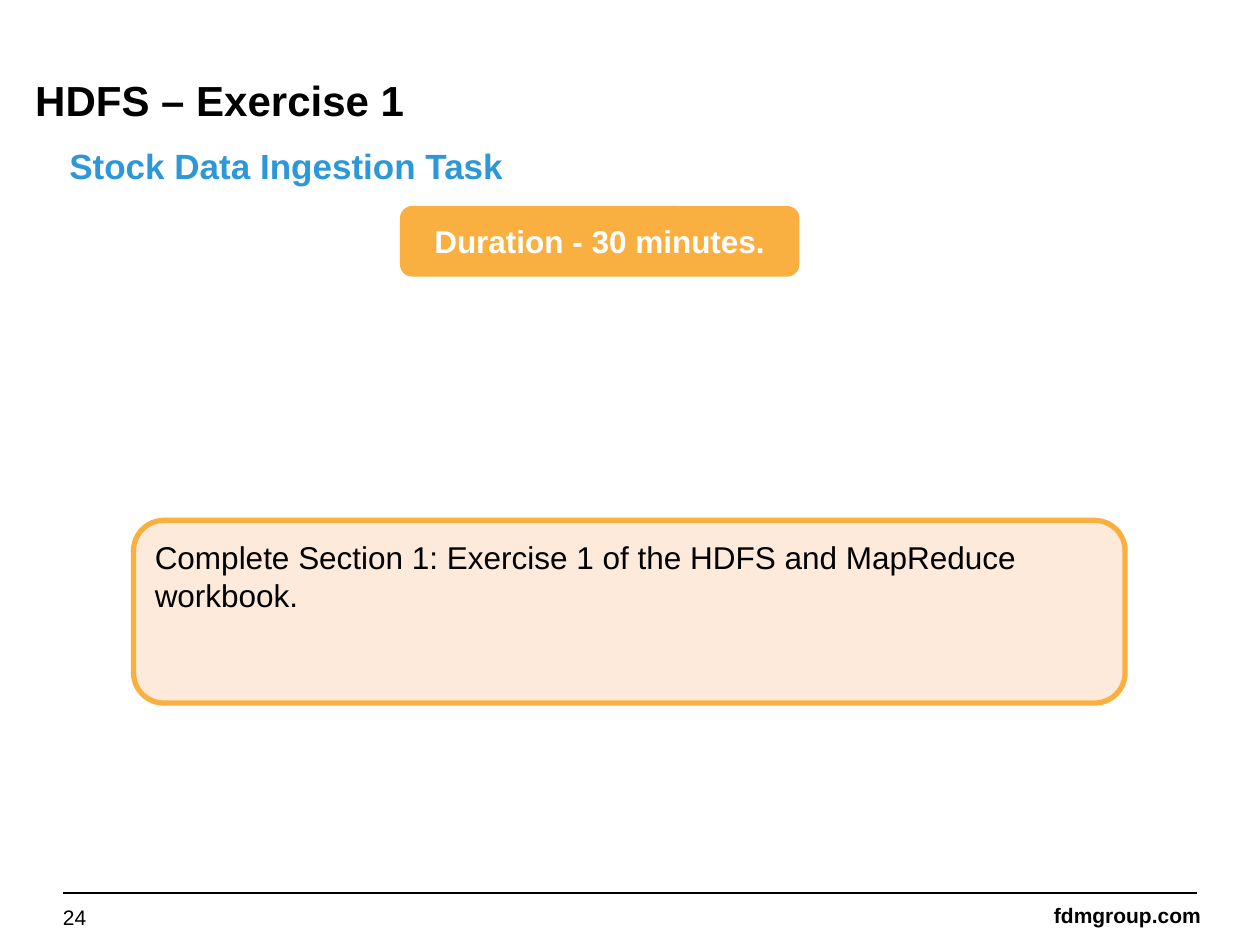
from pptx import Presentation
from pptx.dml.color import RGBColor
from pptx.enum.shapes import MSO_CONNECTOR, MSO_SHAPE
from pptx.enum.text import MSO_ANCHOR, PP_ALIGN
from pptx.oxml.ns import qn
from pptx.util import Inches, Pt
from lxml import etree

LEFT, CENTER, RIGHT = PP_ALIGN.LEFT, PP_ALIGN.CENTER, PP_ALIGN.RIGHT
TOP, MIDDLE = MSO_ANCHOR.TOP, MSO_ANCHOR.MIDDLE
ROUNDED = MSO_SHAPE.ROUNDED_RECTANGLE
STRAIGHT = MSO_CONNECTOR.STRAIGHT

BLACK, WHITE = "000000", "FFFFFF"
BLUE, ORANGE, PEACH = "2D98D9", "FAB041", "FDEADA"

presentation = Presentation()
presentation.slide_width = Inches(10)
presentation.slide_height = Inches(7.5)
slide = presentation.slides.add_slide(presentation.slide_layouts[6])
COLUMN = presentation.slide_width / 100
ROW = presentation.slide_height / 75


def color(value):
    return RGBColor.from_string(value)


def write(shape, text, size, text_color, bold, align, anchor, insets, wrap=True):
    frame = shape.text_frame
    frame.word_wrap = wrap
    frame.vertical_anchor = anchor
    frame.margin_left = frame.margin_right = Inches(insets[0])
    frame.margin_top = frame.margin_bottom = Inches(insets[1])
    paragraph = frame.paragraphs[0]
    paragraph.alignment = align
    run = paragraph.add_run()
    run.text = text
    run.font.name = "Arial"
    run.font.size = Pt(size)
    run.font.bold = bold
    run.font.color.rgb = color(text_color)


footer_rule = slide.shapes.add_connector(
    STRAIGHT, int(5 * COLUMN), int(70.9 * ROW), int(95 * COLUMN), int(70.9 * ROW))
footer_rule.line.color.rgb = color(BLACK)
footer_rule.line.width = Pt(1)
etree.SubElement(footer_rule._element.spPr, qn("a:effectLst"))

labels = [
    ("fdmgroup.com", (82.5, 71.1, 13.8, 3), 12, BLACK, True, RIGHT, MIDDLE, (0.1, 0.05), False),
    ("Stock Data Ingestion Task", (4.7, 10.7, 56.5, 5), 20, BLUE, True, LEFT, TOP, (0.08, 0.08), True),
    ("24", (5, 71.8, 23.3, 2), 12, BLACK, False, LEFT, MIDDLE, (0, 0), True),
    ("HDFS – Exercise 1", (2, 5.1, 92, 5.5), 24, BLACK, True, LEFT, TOP, (0.08, 0.08), True),
]
for text, (left, top, width, height), *style in labels:
    label = slide.shapes.add_textbox(
        int(left * COLUMN), int(top * ROW), int(width * COLUMN), int(height * ROW))
    write(label, text, *style)

cards = [
    ("Complete Section 1: Exercise 1 of the HDFS and MapReduce workbook.",
     (10.6, 41.3, 78.7, 14.5), PEACH, 3, 18, BLACK, False, LEFT, TOP, (0.1, 0.07)),
    ("Duration - 30 minutes.",
     (31.8, 16.4, 31.6, 5.5), ORANGE, 0.75, 18, WHITE, True, CENTER, MIDDLE, (0.1, 0.05)),
]
for text, (left, top, width, height), fill, line_width, *style in cards:
    card = slide.shapes.add_shape(
        ROUNDED, int(left * COLUMN), int(top * ROW), int(width * COLUMN), int(height * ROW))
    card.shadow.inherit = False
    card.fill.solid()
    card.fill.fore_color.rgb = color(fill)
    card.line.color.rgb = color(ORANGE)
    card.line.width = Pt(line_width)
    write(card, text, *style)

presentation.save("out.pptx")
